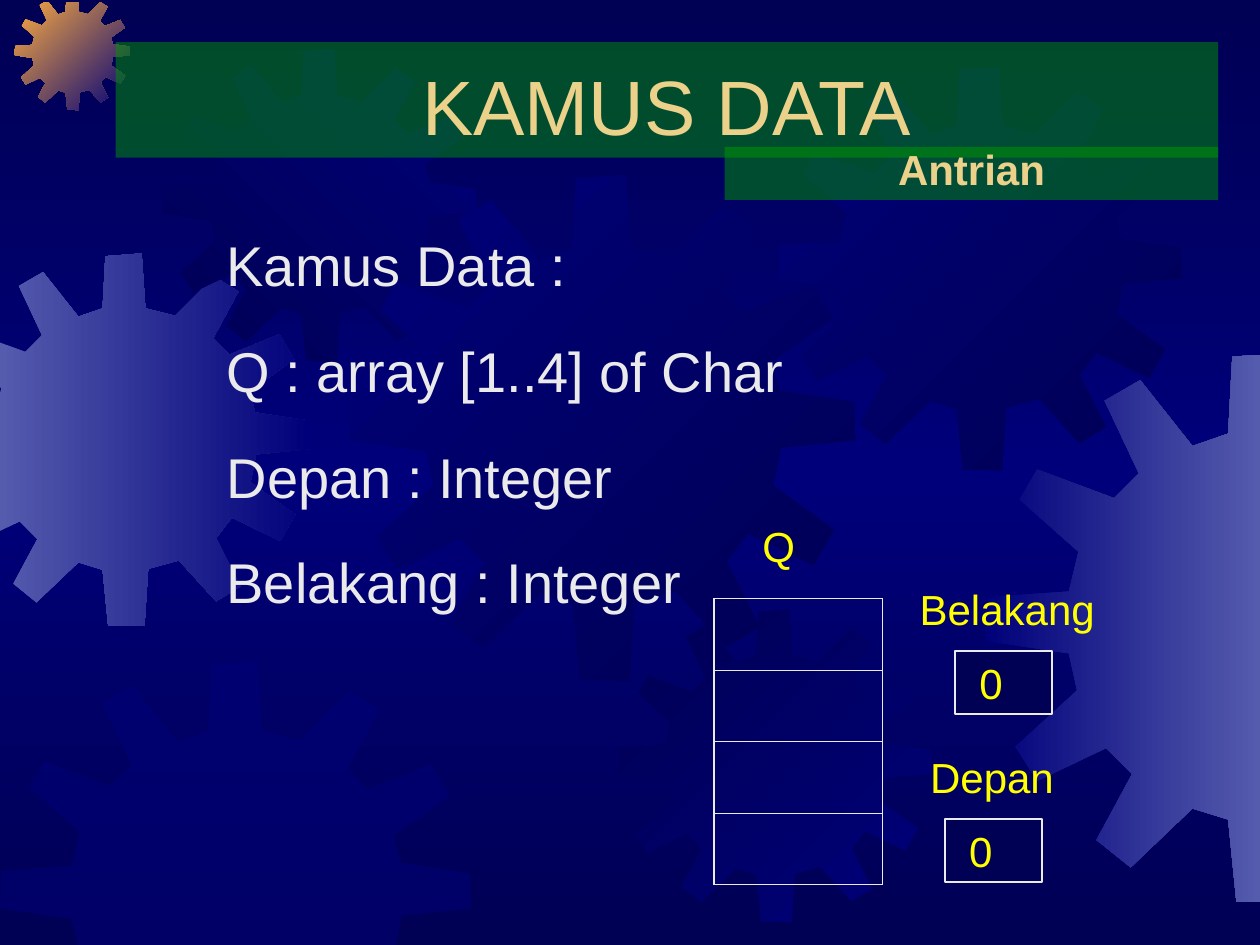
from copy import deepcopy

from lxml import etree
from pptx import Presentation
from pptx.dml.color import RGBColor
from pptx.enum.shapes import MSO_SHAPE
from pptx.enum.text import MSO_ANCHOR, PP_ALIGN
from pptx.oxml.ns import qn
from pptx.util import Cm, Pt

RECTANGLE = MSO_SHAPE.RECTANGLE
TOP, MIDDLE, BOTTOM = MSO_ANCHOR.TOP, MSO_ANCHOR.MIDDLE, MSO_ANCHOR.BOTTOM
LEFT, CENTER = PP_ALIGN.LEFT, PP_ALIGN.CENTER

WIDTH, HEIGHT = 25.4, 19.05
NAVY, BLUE, LILAC, ORANGE = "000054", "00007A", "555BAD", "FCAB40"
GREEN, SAND, PALE, YELLOW = "009900", "EBD189", "EAEAEA", "FFFF00"

# Outline of one twelve-toothed gear, on a grid of GEAR_GRID units
GEAR_GRID = 401
GEAR_OUTLINE = [
    (255, 67), (223, 59), (219, 0), (180, 3), (177, 59), (151, 68),
    (113, 20), (87, 35), (112, 88), (94, 106), (38, 85), (25, 107),
    (68, 145), (61, 174), (1, 178), (0, 210), (61, 219), (67, 246),
    (22, 287), (38, 312), (88, 288), (107, 307), (81, 355), (106, 375),
    (151, 332), (177, 340), (183, 400), (222, 401), (226, 339), (259, 330),
    (299, 374), (325, 358), (299, 306), (316, 284), (368, 309), (384, 281),
    (336, 246), (342, 216), (401, 210), (400, 180), (341, 171), (335, 148),
    (383, 114), (367, 87), (313, 109), (296, 91), (323, 41), (297, 25),
]
# left, top, size, colours, gradient angle
GEARS = [
    (-1.25, 5.11, 7.52, [LILAC, BLUE], 0),
    (0.3, -0.1, 2.32, [ORANGE, BLUE], 45),
    (3.3, 0.99, 6.3, [NAVY, BLUE], 315),
    (7.04, 3.53, 10.2, [BLUE, NAVY], 45),
    (0, 13.34, 9.5, [BLUE], 0),
    (12.47, 12.29, 6.3, [NAVY, BLUE], 45),
    (15.7, 1.35, 8.13, [BLUE, NAVY], 45),
    (19.86, 7.11, 11.1, [BLUE, LILAC], 0),
]
# axis, limit, side to keep
SLIDE_EDGES = [(0, 0, 1), (0, WIDTH, -1), (1, 0.05, 1), (1, HEIGHT, -1)]

BANNER = {"fill": GREEN, "alpha": 50, "color": SAND, "anchor": BOTTOM,
          "align": CENTER, "insets": (0.25, 0.25)}
LABEL = {"color": YELLOW, "anchor": TOP, "align": LEFT, "insets": (0.76, 0.25)}
COUNTER = {"fill": NAVY, "line": PALE, "color": YELLOW, "anchor": MIDDLE,
           "align": CENTER, "insets": (0.25, 0.76)}
# lines, (left, top, width, height), text size, bold, style
TEXTS = [
    (["KAMUS DATA"], (2.33, 0.85, 22.23, 2.33), 44, False, BANNER),
    (["Antrian"], (14.61, 2.96, 9.95, 1.07), 24, True, BANNER),
    (["Kamus Data :", "Q : array [1..4] of Char", "Depan : Integer",
      "Belakang : Integer"],
     (3.81, 4.52, 18.84, 7.8), 32, False, {**LABEL, "color": PALE}),
    (["0"], (19.05, 16.51, 1.95, 1.27), 24, False, COUNTER),
    (["Depan"], (17.99, 15.03, 4.23, 1.27), 24, False, LABEL),
    (["Q"], (14.61, 10.37, 2.54, 1.27), 24, False, LABEL),
    (["0"], (19.26, 13.12, 1.95, 1.27), 24, False, COUNTER),
    (["Belakang"], (17.78, 11.64, 5.5, 1.27), 24, False, LABEL),
]
PARAGRAPH_GAP = 22

QUEUE_PLACE = (14.4, 12.07, 3.39)
QUEUE_ROWS, ROW_HEIGHT = 4, 1.44
THICK, THIN = 1.08, 0.45


def rgb(value):
    return RGBColor.from_string(value)


def assign(target, values):
    for name, value in values.items():
        setattr(target, name, value)


def fill_gradient(fill, owner, colors, angle):
    fill.gradient()
    stop_list = owner.xpath(".//a:gsLst")[0]
    while len(stop_list) < len(colors):
        stop_list.append(deepcopy(stop_list[0]))
    for index, (stop, color) in enumerate(zip(fill.gradient_stops, colors)):
        stop.color.rgb = rgb(color)
        stop.position = index / (len(colors) - 1)
    owner.xpath(".//a:lin")[0].set("ang", str(angle * 60000))


def fill_solid(shape, color, alpha=100):
    shape.fill.solid()
    shape.fill.fore_color.rgb = rgb(color)
    if alpha < 100:
        tone = shape._element.spPr.find(qn("a:solidFill"))[0]
        etree.SubElement(tone, qn("a:alpha")).set("val", str(alpha * 1000))


def clip(points, axis, limit, side):
    """Keep the part of a polygon on one side of a slide edge."""
    kept = []
    for start, end in zip(points[-1:] + points[:-1], points):
        start_gap = (start[axis] - limit) * side
        end_gap = (end[axis] - limit) * side
        if (start_gap < 0) != (end_gap < 0):
            share = start_gap / (start_gap - end_gap)
            kept.append(tuple(a + (b - a) * share for a, b in zip(start, end)))
        if end_gap >= 0:
            kept.append(end)
    return kept


def add_gear(page, left, top, size, colors, angle):
    unit = size / GEAR_GRID
    points = [(left + x * unit, top + y * unit) for x, y in GEAR_OUTLINE]
    for edge in SLIDE_EDGES:
        points = clip(points, *edge)
    corners = [(Cm(x), Cm(y)) for x, y in points]
    builder = page.shapes.build_freeform(*corners[0])
    builder.add_line_segments(corners[1:], close=True)
    gear = builder.convert_to_shape()
    gear.shadow.inherit = False
    gear.line.fill.background()
    if len(colors) == 1:
        fill_solid(gear, colors[0], 50)
    else:
        fill_gradient(gear.fill, gear._element, colors, angle)


def add_text(page, lines, place, size, bold, style):
    place = [Cm(length) for length in place]
    if "fill" in style:
        box = page.shapes.add_shape(RECTANGLE, *place)
        box.shadow.inherit = False
        fill_solid(box, style["fill"], style.get("alpha", 100))
        if "line" in style:
            box.line.color.rgb = rgb(style["line"])
            box.line.width = Pt(1)
        else:
            box.line.fill.background()
    else:
        box = page.shapes.add_textbox(*place)
    frame = box.text_frame
    left, right = style["insets"]
    assign(frame, {"word_wrap": True, "vertical_anchor": style["anchor"],
                   "margin_left": Cm(left), "margin_right": Cm(right),
                   "margin_top": Cm(0.13), "margin_bottom": Cm(0.13)})
    for index, line in enumerate(lines):
        para = frame.add_paragraph() if index else frame.paragraphs[0]
        para.alignment = style["align"]
        if index:
            para.space_before = Pt(PARAGRAPH_GAP)
        span = para.add_run()
        span.text = line
        assign(span.font, {"name": "Arial", "size": Pt(size), "bold": bold})
        span.font.color.rgb = rgb(style["color"])


def add_queue(page):
    left, top, width = QUEUE_PLACE
    table = page.shapes.add_table(QUEUE_ROWS, 1, Cm(left), Cm(top), Cm(width),
                                  Cm(ROW_HEIGHT * QUEUE_ROWS)).table
    assign(table, {"first_row": False, "horz_banding": False})
    for index in range(QUEUE_ROWS):
        cell = table.cell(index, 0)
        bottom = THICK if index == QUEUE_ROWS - 1 else THIN
        borders = {"lnL": THICK, "lnR": THICK, "lnT": THIN, "lnB": bottom}
        properties = cell._tc.get_or_add_tcPr()
        for tag, weight in borders.items():
            border = etree.SubElement(properties, qn(f"a:{tag}"))
            border.set("w", str(int(Pt(weight))))
            paint = etree.SubElement(border, qn("a:solidFill"))
            etree.SubElement(paint, qn("a:srgbClr")).set("val", PALE)
        cell.fill.background()


def main():
    deck = Presentation()
    deck.slide_width, deck.slide_height = Cm(WIDTH), Cm(HEIGHT)
    page = deck.slides.add_slide(deck.slide_layouts[6])

    # Backdrop
    fill_gradient(page.background.fill, page._element, [NAVY, BLUE, NAVY], 90)
    for gear in GEARS:
        add_gear(page, *gear)

    # Queue cells, then headings, declarations and counters
    add_queue(page)
    for text in TEXTS:
        add_text(page, *text)

    deck.save("out.pptx")


if __name__ == "__main__":
    main()
